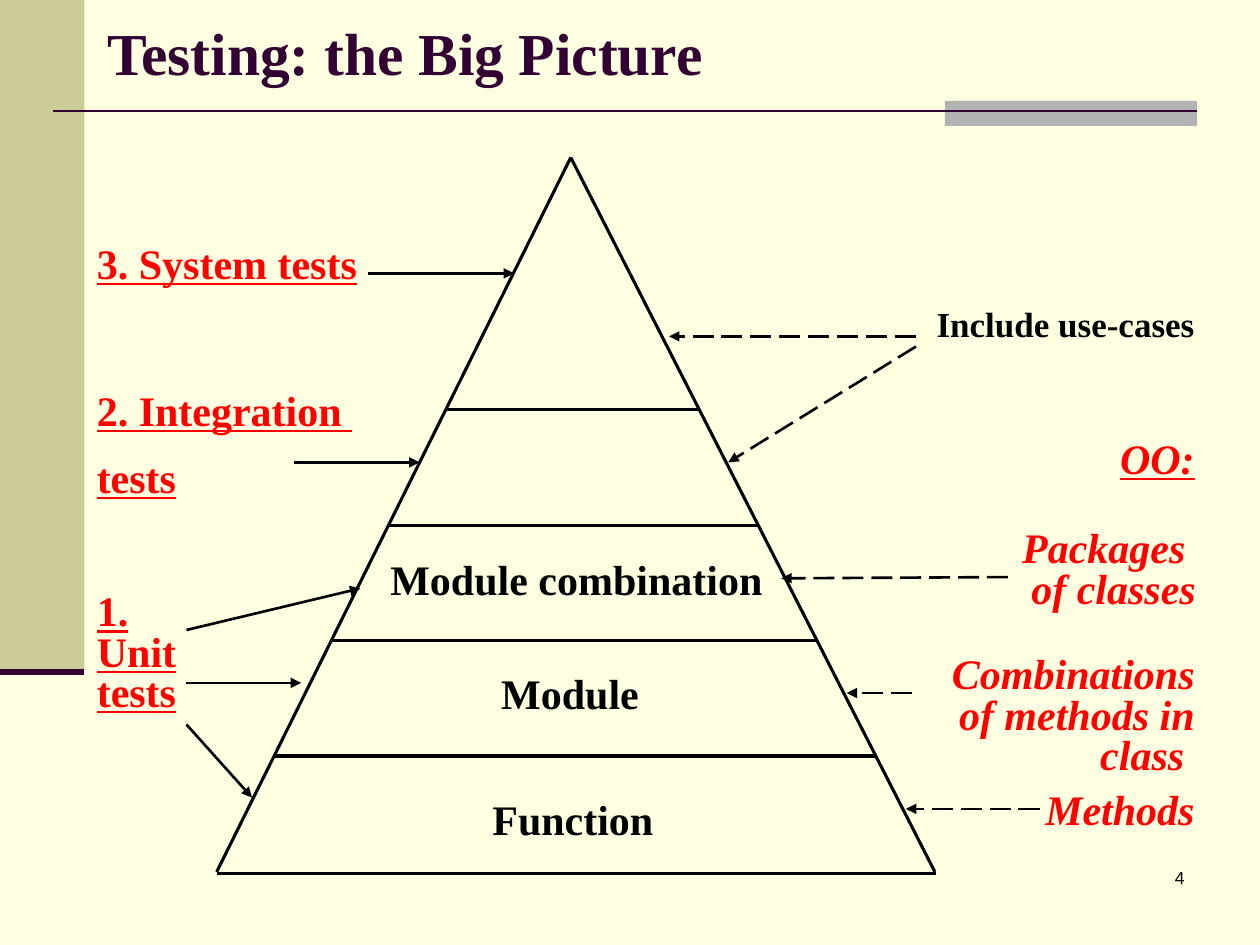
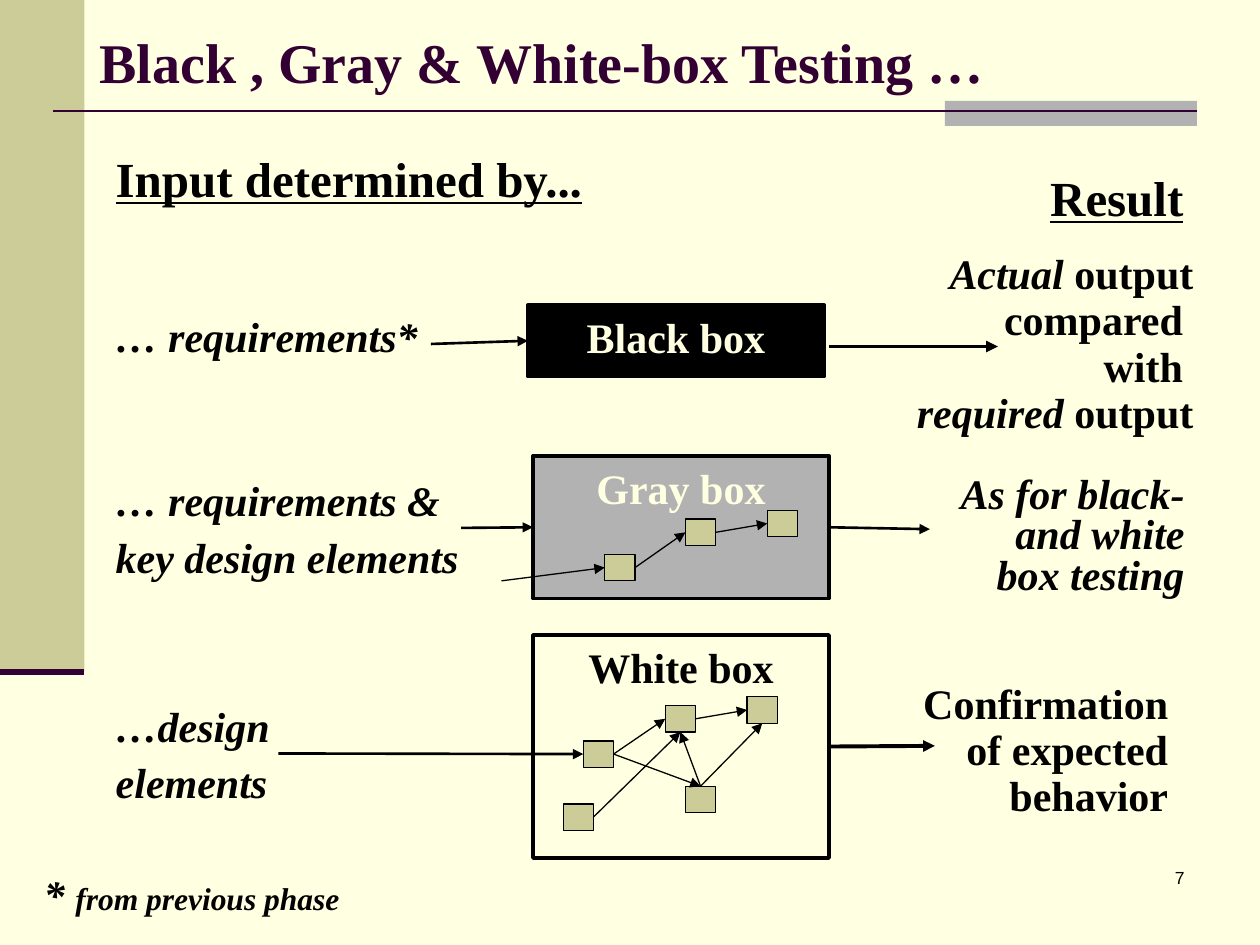
from lxml import etree
from pptx import Presentation
from pptx.dml.color import RGBColor
from pptx.enum.dml import MSO_LINE
from pptx.enum.shapes import MSO_CONNECTOR, MSO_SHAPE
from pptx.enum.text import MSO_ANCHOR, MSO_AUTO_SIZE, PP_ALIGN
from pptx.oxml.ns import qn
from pptx.util import Pt

PX = 9144
CREAM = RGBColor(0xFF, 0xFF, 0xE1)
OLIVE = RGBColor(0xCC, 0xCC, 0x99)
GRAY = RGBColor(0xB2, 0xB2, 0xB2)
PLUM = RGBColor(0x33, 0x00, 0x33)
BLACK = RGBColor(0x00, 0x00, 0x00)
RED = RGBColor(0xFF, 0x00, 0x00)
SERIF = "Times New Roman"
LEFT, CENTER, RIGHT = PP_ALIGN.LEFT, PP_ALIGN.CENTER, PP_ALIGN.RIGHT
TOP_SIDE, LEFT_SIDE, BOTTOM_SIDE, RIGHT_SIDE = range(4)


def write(sp, paras, size=24, style="b", color=BLACK, align=LEFT,
          spacing=None, before=0, wrap=False, font=SERIF):
    tf = sp.text_frame
    tf.word_wrap = wrap
    tf.auto_size = MSO_AUTO_SIZE.NONE
    tf.vertical_anchor = MSO_ANCHOR.TOP
    for i, runs in enumerate(paras):
        p = tf.add_paragraph() if i else tf.paragraphs[0]
        p.alignment = align
        if spacing:
            p.line_spacing = spacing
        if i and before:
            p.space_before = Pt(before)
        if isinstance(runs, str):
            runs = [(runs, style, size)]
        for text, run_style, run_size in runs:
            r = p.add_run()
            r.text = text
            r.font.name = font
            r.font.size = Pt(run_size)
            r.font.color.rgb = color
            r.font.bold = "b" in run_style
            r.font.italic = "i" in run_style
            r.font.underline = "u" in run_style


def draw_line(s, start, end, width=1.5, arrow=True, dashed=False, color=BLACK):
    ends = [pt if isinstance(pt[0], int) else (0, 0) for pt in (start, end)]
    c = s.shapes.add_connector(MSO_CONNECTOR.STRAIGHT,
                               *[PX * v for pt in ends for v in pt])
    if not isinstance(start[0], int):
        c.begin_connect(*start)
    if not isinstance(end[0], int):
        c.end_connect(*end)
    c.line.color.rgb = color
    c.line.width = Pt(width)
    if dashed:
        c.line.dash_style = MSO_LINE.LONG_DASH
    if arrow:
        etree.SubElement(c.line._get_or_add_ln(), qn("a:tailEnd"), type="triangle")
    etree.SubElement(c._element.spPr, qn("a:effectLst"))


prs = Presentation()
prs.slide_width = PX * 1000
prs.slide_height = PX * 750
fill = prs.slide_master.background.fill
fill.solid()
fill.fore_color.rgb = CREAM

slides = []
for title, title_box, title_size, number in [
    ("Testing: the Big Picture", (75, 8, 517, 67), 34, "4"),
    ("Black , Gray & White-box Testing …", (69, 17, 728, 64), 32, "7"),
]:
    s = prs.slides.add_slide(prs.slide_layouts[5])
    sp = s.shapes.title
    sp.left, sp.top, sp.width, sp.height = [PX * v for v in title_box]
    write(sp, [title], title_size, color=PLUM, wrap=True)
    for box, color in [((0, 0, 67, 533), OLIVE), ((750, 80, 200, 20), GRAY)]:
        sp = s.shapes.add_shape(MSO_SHAPE.RECTANGLE, *[PX * v for v in box])
        sp.shadow.inherit = False
        sp.fill.solid()
        sp.fill.fore_color.rgb = color
        sp.line.fill.background()
    draw_line(s, (42, 88), (950, 88), arrow=False, color=PLUM)
    draw_line(s, (0, 533), (67, 533), 3.5, arrow=False, color=PLUM)
    sp = s.shapes.add_textbox(*[PX * v for v in (742, 683, 208, 50)])
    write(sp, [number], 10, "", align=RIGHT, wrap=True, font="Arial")
    slides.append(s)

pyramid, boxes = slides

apex_x, apex_y = 453, 125
base_left, base_right, base_y = 172, 742, 692
for x in (base_left, base_right):
    draw_line(pyramid, (apex_x, apex_y), (x, base_y), 1.75, arrow=False)
for y in (325, 417, 508, 600, 693):
    depth = (y - apex_y) / (base_y - apex_y)
    left, right = [round(apex_x + (x - apex_x) * depth) for x in (base_left, base_right)]
    draw_line(pyramid, (left, y), (right, y), 1.75, arrow=False)

for start, end in [
    ((292, 217), (408, 217)),
    ((233, 367), (333, 367)),
    ((148, 500), (286, 467)),
    ((148, 542), (239, 542)),
    ((148, 575), (200, 633)),
]:
    draw_line(pyramid, start, end)
for start, end in [
    ((727, 267), (531, 267)),
    ((727, 275), (578, 367)),
    ((800, 458), (620, 459)),
    ((724, 550), (672, 550)),
    ((825, 642), (719, 642)),
]:
    draw_line(pyramid, start, end, dashed=True)

level = dict()
test = dict(style="bu", color=RED, spacing=0.8, wrap=True)
oo = dict(style="bi", color=RED, spacing=0.8, align=RIGHT)
for box, paras, fmt in [
    ((300, 434, 315, 50), ["Module combination"], dict(align=CENTER)),
    ((388, 525, 146, 50), ["Module"], level),
    ((381, 625, 164, 50), ["Function"], level),
    ((67, 191, 275, 42), ["3. System tests"], test),
    ((67, 308, 333, 95), ["2. Integration ", "tests"], test | dict(before=15)),
    ((67, 467, 125, 106), ["1.", "Unit", "tests"], test),
    ((719, 242, 239, 37), ["Include use-cases"],
     dict(size=20, spacing=0.8, align=RIGHT, wrap=True)),
    ((879, 346, 79, 42), ["OO:"], oo | dict(style="biu")),
    ((801, 417, 158, 74), ["Packages ", "of classes"], oo),
    ((719, 517, 239, 106), ["Combinations of methods in class "], oo | dict(wrap=True)),
    ((820, 625, 138, 42), ["Methods"], oo),
]:
    sp = pyramid.shapes.add_textbox(*[PX * v for v in box])
    write(sp, paras, **fmt)

node_size = (24, 21)
nodes = {}
for name, box, color, text_color, width in [
    ("Black box", (419, 242, 235, 57), BLACK, CREAM, 2),
    ("Gray box", (423, 362, 235, 113), GRAY, CREAM, 2),
    ("White box", (423, 504, 235, 177), CREAM, BLACK, 2),
    ("gray first", (480, 440, *node_size), OLIVE, None, 0.75),
    ("gray second", (544, 412, *node_size), OLIVE, None, 0.75),
    ("gray third", (609, 405, *node_size), OLIVE, None, 0.75),
    ("entry", (463, 588, *node_size), OLIVE, None, 0.75),
    ("upper", (528, 560, *node_size), OLIVE, None, 0.75),
    ("exit", (593, 553, *node_size), OLIVE, None, 0.75),
    ("lower", (544, 624, *node_size), OLIVE, None, 0.75),
    ("corner", (447, 638, *node_size), OLIVE, None, 0.75),
]:
    sp = boxes.shapes.add_shape(MSO_SHAPE.RECTANGLE, *[PX * v for v in box])
    sp.shadow.inherit = False
    sp.fill.solid()
    sp.fill.fore_color.rgb = color
    sp.line.color.rgb = BLACK
    sp.line.width = Pt(width)
    if text_color is not None:
        write(sp, [name], color=text_color, align=CENTER)
    nodes[name] = sp

for source, out_side, target, in_side in [
    ("gray first", RIGHT_SIDE, "gray second", LEFT_SIDE),
    ("gray second", RIGHT_SIDE, "gray third", LEFT_SIDE),
    ("entry", RIGHT_SIDE, "upper", LEFT_SIDE),
    ("entry", RIGHT_SIDE, "lower", TOP_SIDE),
    ("corner", RIGHT_SIDE, "upper", BOTTOM_SIDE),
    ("lower", TOP_SIDE, "upper", BOTTOM_SIDE),
    ("lower", TOP_SIDE, "exit", BOTTOM_SIDE),
    ("upper", RIGHT_SIDE, "exit", LEFT_SIDE),
]:
    draw_line(boxes, (nodes[source], out_side), (nodes[target], in_side), 0.75)

for start, end, width in [
    ((398, 461), (nodes["gray first"], LEFT_SIDE), 0.75),
    ((342, 273), (nodes["Black box"], LEFT_SIDE), 1.5),
    ((366, 419), (nodes["Gray box"], LEFT_SIDE), 1.5),
    ((221, 598), (nodes["entry"], LEFT_SIDE), 1.5),
    ((658, 275), (792, 275), 2.25),
    ((nodes["Gray box"], RIGHT_SIDE), (738, 420), 1.5),
    ((nodes["White box"], RIGHT_SIDE), (742, 592), 2.25),
]:
    draw_line(boxes, start, end, width)

heading = dict(size=28, style="bu")
basis = dict(style="bi", spacing=0.6, before=15)
result = dict(align=RIGHT, spacing=0.4, before=15)
for box, paras, fmt in [
    ((82, 113, 443, 57), ["Input determined by..."], heading),
    ((824, 128, 125, 57), ["Result"], heading | dict(align=RIGHT)),
    ((82, 256, 260, 34), ["… requirements*"], basis),
    ((82, 386, 292, 79), ["… requirements &", "key design elements"], basis),
    ((82, 565, 142, 79), ["…design", "elements"], basis),
    ((718, 212, 239, 137),
     [[("Actual ", "bi", 24), ("output", "b", 24)], "compared ", "with ",
      [("required ", "bi", 24), ("output", "b", 24)]], result),
    ((738, 374, 212, 106), ["As for black- and white box testing"],
     dict(style="bi", align=RIGHT, spacing=0.8, wrap=True)),
    ((723, 553, 214, 100), ["Confirmation", "of expected", "behavior"], result),
    ((25, 695, 254, 38),
     [[("* ", "bi", 24), ("from previous phase", "bi", 18)]], dict(spacing=0.7)),
]:
    sp = boxes.shapes.add_textbox(*[PX * v for v in box])
    write(sp, paras, **fmt)

prs.save("out.pptx")
